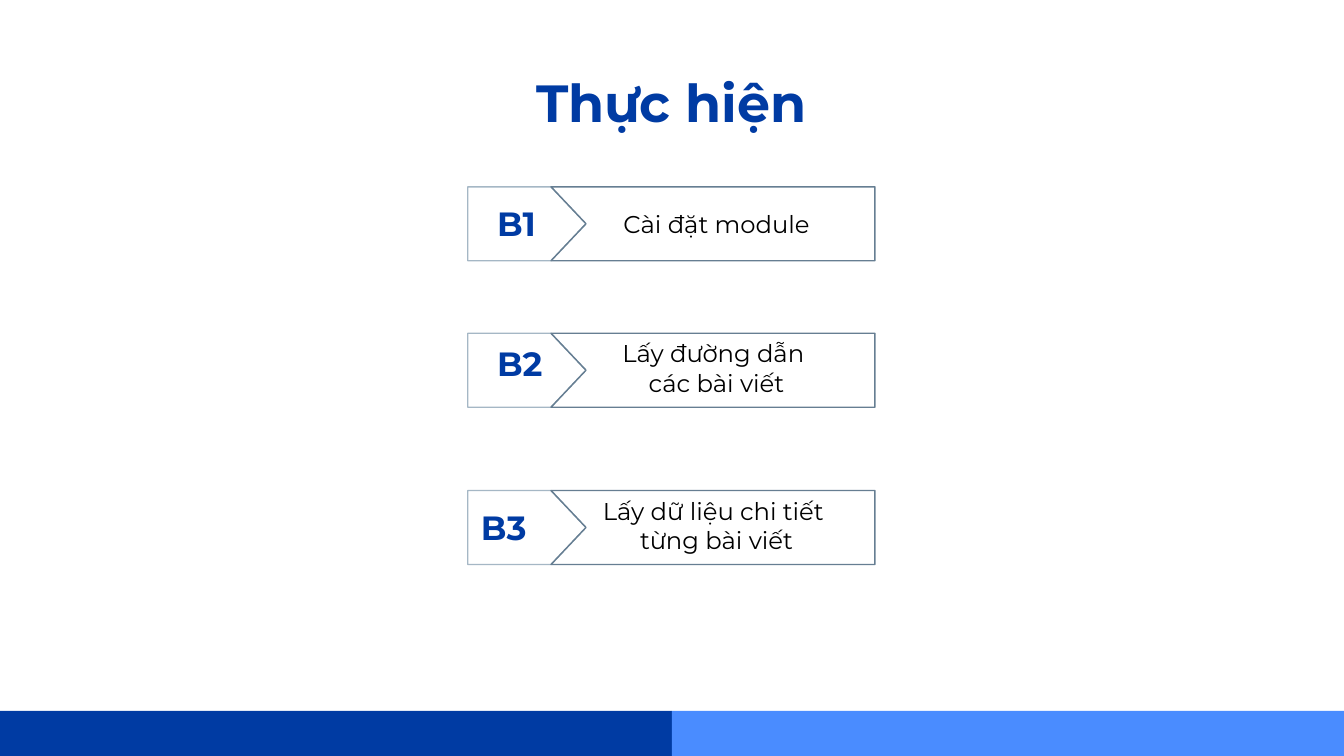
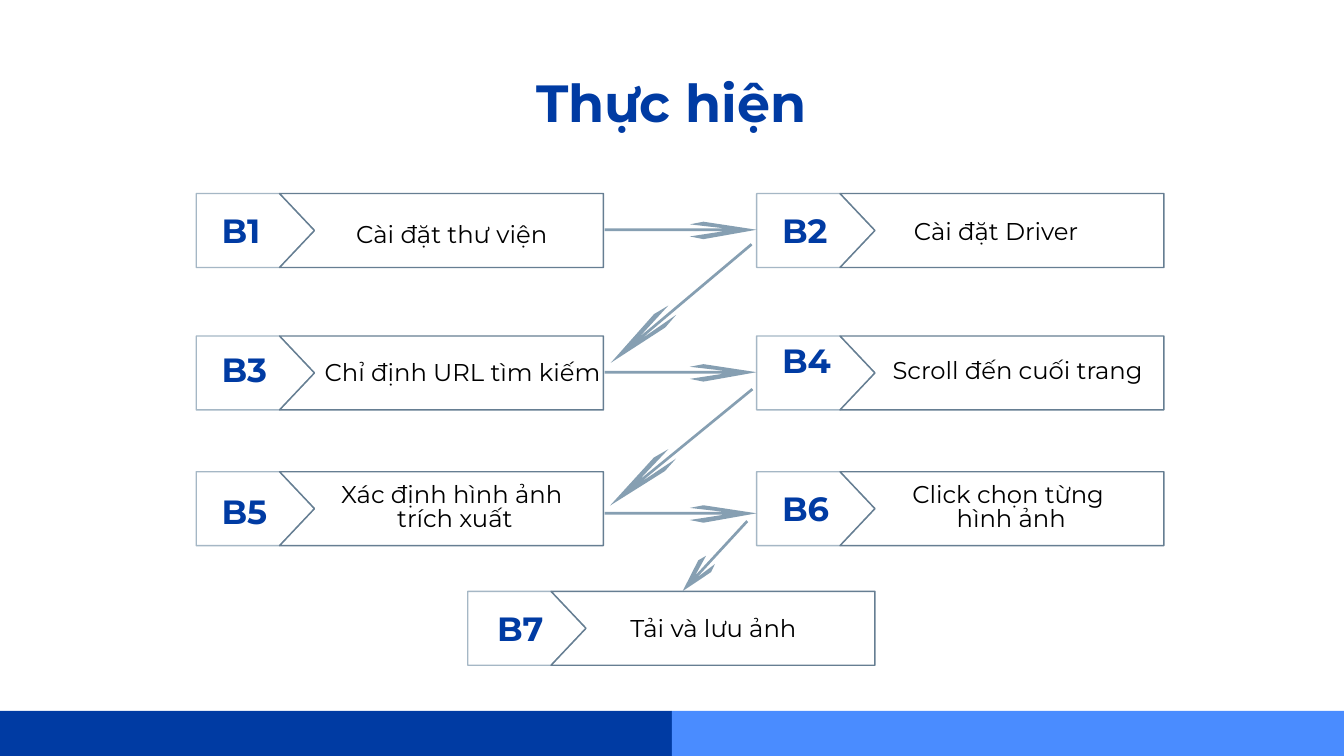
from dataclasses import dataclass

from pptx import Presentation
from pptx.dml.color import RGBColor
from pptx.enum.shapes import MSO_SHAPE
from pptx.enum.text import MSO_ANCHOR, MSO_AUTO_SIZE, PP_ALIGN
from pptx.util import Inches, Pt

# Shared look
NAVY, SKY, BLACK = "003BA3", "4A8CFF", "000000"
TAG_LINE, BODY_LINE, ARROW = "A5B7C5", "667E92", "869FB2"
TITLE_FONT = {"name": "Montserrat", "size": Pt(28), "bold": True}
NUMBER_FONT = {"name": "Montserrat", "size": Pt(18), "bold": True}
CAPTION_FONT = {"name": "Montserrat", "size": Pt(13), "bold": False}
MARGIN = Inches(0.1)
FRAME = {"word_wrap": True, "vertical_anchor": MSO_ANCHOR.TOP,
         "margin_left": MARGIN, "margin_right": MARGIN,
         "margin_top": MARGIN, "margin_bottom": MARGIN}

# Paragraph formats of captions, one per line
SINGLE = [{"space_after": Pt(16)}]
DOUBLE = [{}, {}]
TIGHT = [{"line_spacing": 0.5},
         {"line_spacing": 0.5, "space_before": Pt(5), "space_after": Pt(5)}]

# Step outlines, relative to the top left corner of the step
STEP_WIDTH, STEP_HEIGHT = 3.03, 0.55
NOTCH, TIP = 0.62, 0.88
TAG = [(0, 0), (0, STEP_HEIGHT), (NOTCH, STEP_HEIGHT),
       (TIP, STEP_HEIGHT / 2), (NOTCH, 0)]
BODY = [(NOTCH, 0), (TIP, STEP_HEIGHT / 2), (NOTCH, STEP_HEIGHT),
        (STEP_WIDTH, STEP_HEIGHT), (STEP_WIDTH, 0)]
CENTER_LEFT = 3.48
TEXT_WIDTH = 3.28

# Arrow outline: x as a share of the length, y in inches
ARROW_OUTLINE = [(0.65, 0), (0.56, 0.02), (0.79, 0.05), (0, 0.05), (0, 0.07),
                 (0.79, 0.07), (0.56, 0.11), (0.65, 0.13), (1, 0.06)]


@dataclass
class Step:
    left: float
    top: float
    number_at: tuple
    caption_at: tuple
    lines: list
    formats: list
    caption_height: float = 0.42
    number_width: float = TEXT_WIDTH


def color(hex_value):
    return RGBColor.from_string(hex_value)


def apply(target, values):
    for name, value in values.items():
        setattr(target, name, value)


def add_text(slide, box, lines, font, ink, align, formats, grow=True):
    frame = slide.shapes.add_textbox(*map(Inches, box)).text_frame
    apply(frame, FRAME)
    frame.auto_size = MSO_AUTO_SIZE.SHAPE_TO_FIT_TEXT if grow else MSO_AUTO_SIZE.NONE
    for index, (line, values) in enumerate(zip(lines, formats)):
        paragraph = frame.add_paragraph() if index else frame.paragraphs[0]
        apply(paragraph, {"alignment": align, **values})
        run = paragraph.add_run()
        run.text = line
        apply(run.font, font)
        run.font.color.rgb = color(ink)


def add_outline(shapes, points):
    corners = [(Inches(x), Inches(y)) for x, y in points]
    builder = shapes.build_freeform(*corners[0])
    builder.add_line_segments(corners[1:], close=True)
    outline = builder.convert_to_shape()
    outline.shadow.inherit = False
    return outline


def add_step_box(slide, left, top):
    box = slide.shapes.add_group_shape()
    for points, ink in ((TAG, TAG_LINE), (BODY, BODY_LINE)):
        part = add_outline(box.shapes, [(left + x, top + y) for x, y in points])
        part.fill.background()
        part.line.color.rgb = color(ink)
        part.line.width = Pt(0.75)


def add_steps(slide, steps):
    for step in steps:
        add_step_box(slide, step.left, step.top)
    for number, step in enumerate(steps, 1):
        add_text(slide, (*step.number_at, step.number_width, 0.5), [f"B{number}"],
                 NUMBER_FONT, NAVY, PP_ALIGN.LEFT, SINGLE)
    for step in steps:
        add_text(slide, (*step.caption_at, TEXT_WIDTH, step.caption_height),
                 step.lines, CAPTION_FONT, BLACK, PP_ALIGN.CENTER, step.formats)


def add_arrow(slide, left, top, length, angle=0):
    arrow = add_outline(slide.shapes,
                        [(left + x * length, top + y) for x, y in ARROW_OUTLINE])
    arrow.fill.solid()
    arrow.fill.fore_color.rgb = color(ARROW)
    arrow.line.fill.background()
    arrow.rotation = angle


def add_page(deck):
    slide = deck.slides.add_slide(deck.slide_layouts[6])
    slide.background.fill.solid()
    slide.background.fill.fore_color.rgb = color("FFFFFF")
    # Footer bands
    for left, ink in ((0, NAVY), (5, SKY)):
        band = slide.shapes.add_shape(MSO_SHAPE.RECTANGLE, Inches(left), Inches(5.29),
                                      Inches(5), Inches(0.34))
        band.shadow.inherit = False
        band.fill.solid()
        band.fill.fore_color.rgb = color(ink)
        band.line.fill.background()
    add_text(slide, (0.78, 0.42, 8.43, 1.02), ["Thực hiện"], TITLE_FONT, NAVY,
             PP_ALIGN.CENTER, [{}], grow=False)
    return slide


def build_article_steps(deck):
    slide = add_page(deck)
    add_steps(slide, [
        Step(CENTER_LEFT, 1.39, (3.6, 1.41), (3.69, 1.46),
             ["Cài đặt module"], SINGLE, number_width=1.01),
        Step(CENTER_LEFT, 2.48, (3.6, 2.45), (3.69, 2.42),
             ["Lấy đường dẫn ", "các bài viết"], DOUBLE, 0.64, 0.55),
        Step(CENTER_LEFT, 3.65, (3.48, 3.67), (3.69, 3.59),
             ["Lấy dữ liệu chi tiết ", "từng bài viết"], DOUBLE, 0.64),
    ])


def build_image_steps(deck):
    slide = add_page(deck)
    west, east = 1.46, 5.63
    west_number, east_number = west + 0.09, east + 0.09
    rows = (1.44, 2.5, 3.51)
    add_steps(slide, [
        Step(west, rows[0], (west_number, 1.46), (1.72, 1.53),
             ["Cài đặt thư viện"], SINGLE, number_width=1.01),
        Step(east, rows[0], (east_number, 1.46), (5.77, 1.51),
             ["Cài đặt Driver"], SINGLE),
        Step(west, rows[1], (west_number, 2.5), (1.8, 2.56),
             ["Chỉ định URL tìm kiếm"], SINGLE),
        Step(east, rows[1], (east_number, 2.43), (5.93, 2.54),
             ["Scroll đến cuối trang"], SINGLE),
        Step(west, rows[2], (west_number, 3.55), (1.72, 3.56),
             ["Xác định hình ảnh", " trích xuất"], TIGHT, 0.49),
        Step(east, rows[2], (east_number, 3.53), (5.86, 3.56),
             ["Click chọn từng", " hình ảnh"], TIGHT, 0.49),
        Step(CENTER_LEFT, 4.4, (3.6, 4.42), (3.69, 4.46),
             ["Tải và lưu ảnh "], SINGLE),
    ])
    # Arrows across each row, then down to the next one
    for top in (1.65, 2.71, 3.76):
        add_arrow(slide, 4.5, top, 1.13)
    for left, top, length, angle in ((4.38, 2.19, 1.37, 139.9),
                                     (4.38, 3.26, 1.37, 140.7),
                                     (4.96, 4.07, 0.71, 132.7)):
        add_arrow(slide, left, top, length, angle)


def main():
    deck = Presentation()
    # Widescreen, 16:9
    deck.slide_width = Inches(10)
    deck.slide_height = Inches(10 * 9 / 16)
    build_article_steps(deck)
    build_image_steps(deck)
    deck.save("out.pptx")


if __name__ == "__main__":
    main()
